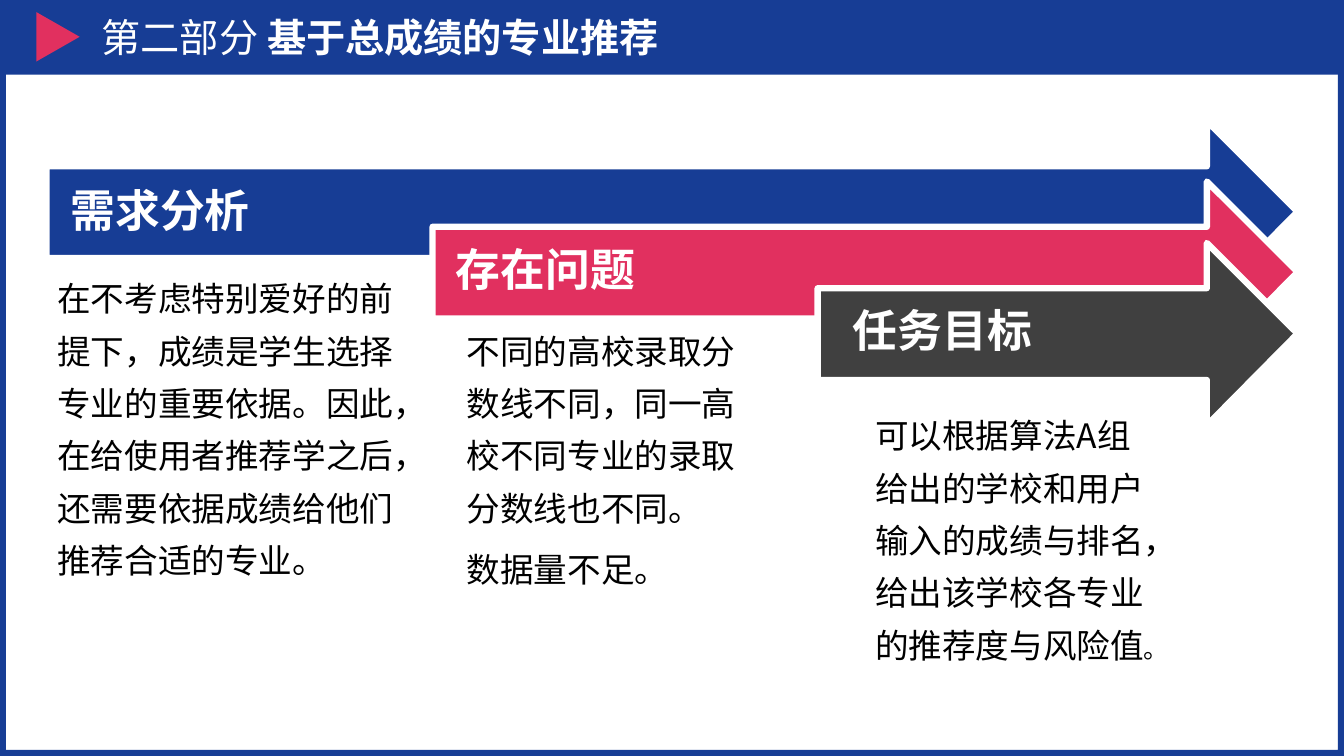
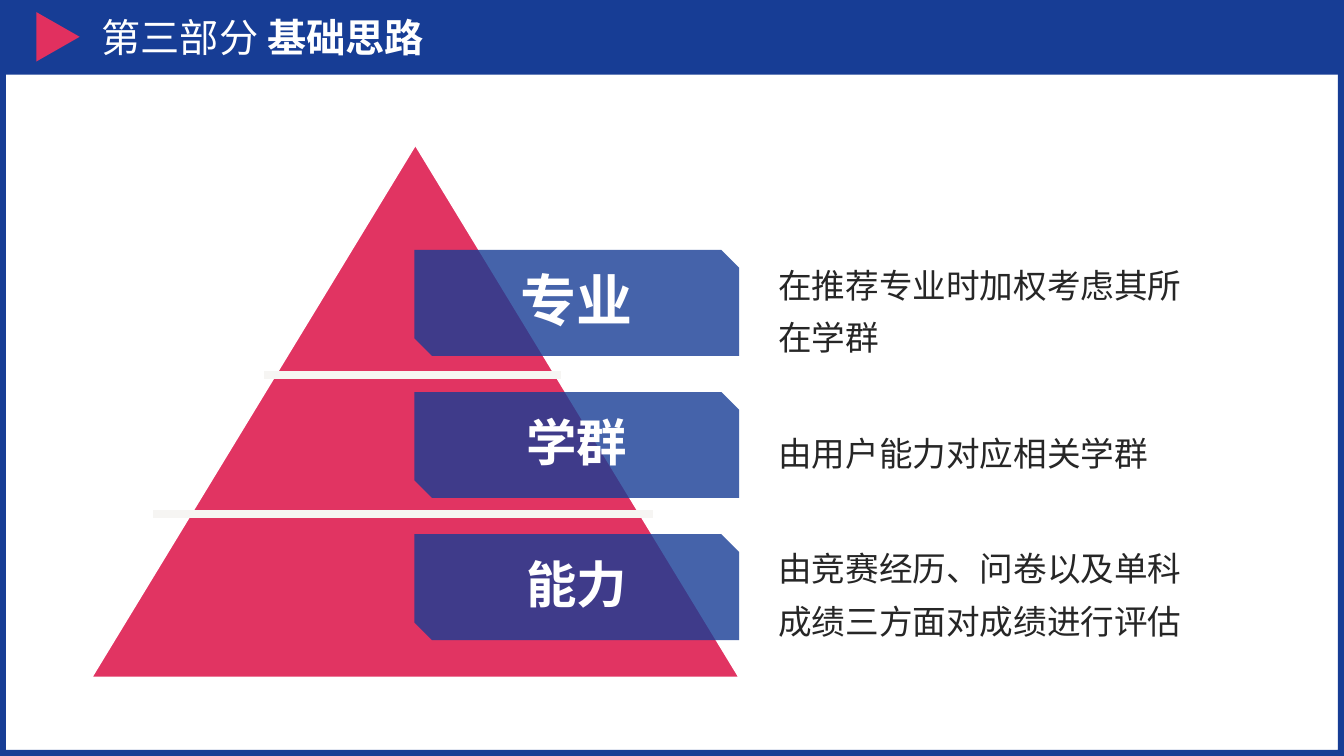
from dataclasses import dataclass

from lxml import etree
from pptx import Presentation
from pptx import util as u
from pptx.dml.color import RGBColor
from pptx.enum import lang, shapes, text
from pptx.oxml import ns


@dataclass(frozen=True)
class Theme:
    font: str = "Noto Sans CJK SC"
    blue: str = "173D95"
    red: str = "E1305F"
    gray: str = "404040"
    white: str = "FFFFFF"
    black: str = "000000"
    ink: str = "262626"
    divider: str = "F6F5F3"
    title_size: int = 28
    heading_size: int = 32
    body_size: int = 24
    small_size: int = 18
    level_size: int = 36
    top_level_size: int = 40


theme = Theme()

TITLES = [("第二部分 ", "基于总成绩的专业推荐"), ("第三部分 ", "基础思路")]

ARROWS = [
    {
        "left": 0.46, "top": 1.2, "color": theme.blue,
        "heading": "需求分析", "heading_at": (0.6, 1.82),
        "body_at": (0.47, 2.59, 3.69, 3.57),
        "body": [[("在不考虑特别爱好的前提下，成绩是学生选择专业的重要依据。因此，"
                   "在给使用者推荐学之后，还需要依据成绩给他们推荐合适的专业。", {})]],
    },
    {
        "left": 4.29, "top": 1.8, "color": theme.red,
        "heading": "存在问题", "heading_at": (4.42, 2.41),
        "body_at": (4.53, 3.11, 3.08, 2.76),
        "body": [
            [("不同的高校录取分数线不同，同一高校不同专业的录取分数线也不同。", {})],
            [("数据量不足。", {})],
        ],
    },
    {
        "left": 8.11, "top": 2.41, "color": theme.gray,
        "heading": "任务目标", "heading_at": (8.36, 3.01),
        "body_at": (8.58, 3.95, 2.99, 2.68),
        "body": [[("可以根据算法A组给出的学校和用户输入的成绩与排名，"
                   "给出该学校各专业的推荐度与风险值", {}),
                  ("。", {"size": u.Pt(theme.small_size)})]],
    },
]

LEVELS = [
    ("专业", theme.top_level_size, "在推荐专业时加权考虑其所在学群", (7.62, 2.46, 4.23, 1.1)),
    ("学群", theme.level_size, "由用户能力对应相关学群", (7.62, 4.13, 3.92, 0.57)),
    ("能力", theme.level_size, "由竞赛经历、问卷以及单科成绩三方面对成绩进行评估",
     (7.62, 5.27, 4.35, 1.1)),
]

DIVIDERS = [(2.62, 5.56, 3.72), (1.52, 6.48, 5.1)]


def inches(values):
    return [u.Inches(value) for value in values]


def set_format(target, values):
    for name, value in values.items():
        setattr(target, name, value)


def paint(shape, color, alpha=None, line=None, width=0):
    shape.shadow.inherit = False
    shape.fill.solid()
    shape.fill.fore_color.rgb = RGBColor.from_string(color)
    if alpha:
        color_element = shape.fill._xPr.find(".//" + ns.qn("a:srgbClr"))
        etree.SubElement(color_element, ns.qn("a:alpha"), val=str(alpha * 1000))
    if line:
        shape.line.color.rgb = RGBColor.from_string(line)
        shape.line.width = u.Pt(width)
    else:
        shape.line.fill.background()


def add_shape(slide, kind, box, color, **paint_options):
    shape = slide.shapes.add_shape(kind, *inches(box))
    paint(shape, color, **paint_options)
    return shape


def write(shape, paragraphs, size, color, run_format=None, paragraph_format=None, frame_format=None):
    frame = shape.text_frame
    set_format(frame, {"word_wrap": True, **(frame_format or {})})
    for index, runs in enumerate(paragraphs):
        paragraph = frame.add_paragraph() if index else frame.paragraphs[0]
        set_format(paragraph, paragraph_format or {})
        for words, changes in runs:
            run = paragraph.add_run()
            run.text = words
            run.font.color.rgb = RGBColor.from_string(color)
            set_format(run.font, {
                "name": theme.font,
                "size": u.Pt(size),
                "language_id": lang.MSO_LANGUAGE_ID.SIMPLIFIED_CHINESE,
                **(run_format or {}),
                **changes,
            })
            etree.SubElement(run.font._element, ns.qn("a:ea"), typeface=theme.font)


def add_text(slide, box, paragraphs, size, color, **formats):
    write(slide.shapes.add_textbox(*inches(box)), paragraphs, size, color, **formats)


def add_slide(presentation, part, title):
    slide = presentation.slides.add_slide(presentation.slide_layouts[6])
    border = add_shape(slide, shapes.MSO_SHAPE.FRAME, (0, 0, 13.33, 7.5), theme.blue)
    border.adjustments[0] = 0.008
    add_shape(slide, shapes.MSO_SHAPE.RECTANGLE, (0, 0, 13.33, 0.74), theme.blue)
    marker = add_shape(slide, shapes.MSO_SHAPE.ISOSCELES_TRIANGLE, (0.33, 0.15, 0.49, 0.43), theme.red)
    marker.rotation = 90
    add_text(slide, (0.91, 0, 11.98, 0.74), [[(part, {}), (title, {"bold": True})]],
             theme.title_size, theme.white,
             paragraph_format={"space_before": u.Pt(10)},
             frame_format={"vertical_anchor": text.MSO_ANCHOR.MIDDLE})
    return slide


def add_arrow(slide, left, top, color):
    neck, tip = 11.97, 12.87
    shaft_top, middle, shaft_bottom, bottom = (top + offset for offset in (0.45, 0.9, 1.36, 1.81))
    points = [(left, shaft_top), (neck, shaft_top), (neck, top), (tip, middle),
              (neck, bottom), (neck, shaft_bottom), (left, shaft_bottom)]
    start, *rest = [inches(point) for point in points]
    builder = slide.shapes.build_freeform(*start, scale=1.0)
    builder.add_line_segments(rest, close=True)
    paint(builder.convert_to_shape(), color, line=theme.white, width=4.5)


def build_arrows(slide):
    for arrow in ARROWS:
        add_arrow(slide, arrow["left"], arrow["top"], arrow["color"])
    for arrow in ARROWS:
        add_text(slide, (*arrow["heading_at"], 2.28, 0.59), [[(arrow["heading"], {})]],
                 theme.heading_size, theme.white, run_format={"bold": True},
                 paragraph_format={"line_spacing": 0.9})
        add_text(slide, arrow["body_at"], arrow["body"], theme.body_size, theme.black,
                 paragraph_format={"line_spacing": 1.3, "space_before": u.Pt(6)})


def build_pyramid(slide):
    add_shape(slide, shapes.MSO_SHAPE.ISOSCELES_TRIANGLE, (0.91, 1.44, 6.42, 5.28),
              theme.red, alpha=98, line=theme.white, width=1)
    margins = {f"margin_{side}": u.Inches(0.22) for side in ("left", "top", "right", "bottom")}
    for index, (level, size, description, description_box) in enumerate(LEVELS):
        label = add_shape(slide, shapes.MSO_SHAPE.SNIP_2_DIAG_RECTANGLE,
                          (4.11, 2.48 + 1.41 * index, 3.22, 1.05), theme.blue, alpha=80)
        write(label, [[(level, {})]], size, theme.white, run_format={"bold": True},
              paragraph_format={"alignment": text.PP_ALIGN.CENTER, "line_spacing": 0.9},
              frame_format={"vertical_anchor": text.MSO_ANCHOR.MIDDLE, **margins})
        add_text(slide, description_box, [[(description, {})]], theme.body_size, theme.ink,
                 paragraph_format={"line_spacing": 1.3})
    for left, right, height in DIVIDERS:
        divider = slide.shapes.add_connector(shapes.MSO_CONNECTOR.STRAIGHT,
                                             *inches((left, height, right, height)))
        divider.line.color.rgb = RGBColor.from_string(theme.divider)
        divider.line.width = u.Pt(6)
        etree.SubElement(divider._element.spPr, ns.qn("a:effectLst"))


def main():
    presentation = Presentation()
    set_format(presentation, {"slide_width": u.Inches(13.33), "slide_height": u.Inches(7.5)})
    for title, build in zip(TITLES, (build_arrows, build_pyramid)):
        build(add_slide(presentation, *title))
    presentation.save("out.pptx")


if __name__ == "__main__":
    main()
